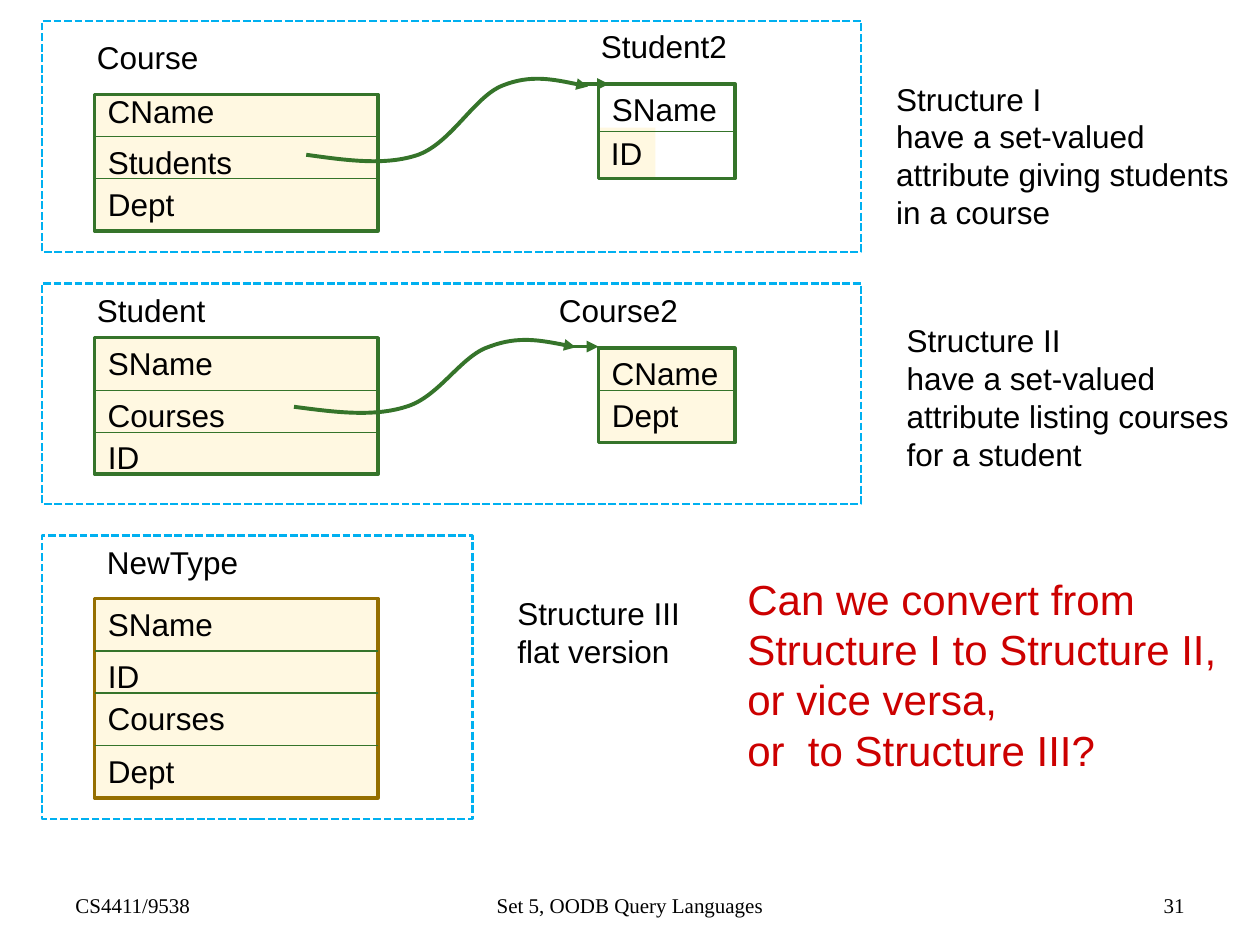
from dataclasses import dataclass

from lxml.etree import SubElement
from pptx import Presentation
from pptx.dml.color import RGBColor
from pptx.enum.dml import MSO_LINE
from pptx.enum.shapes import MSO_CONNECTOR as CONNECTOR, MSO_SHAPE as SHAPE
from pptx.enum.text import MSO_ANCHOR as ANCHOR, MSO_AUTO_SIZE as AUTO_SIZE, PP_ALIGN as ALIGN
from pptx.oxml.ns import qn
from pptx.util import Pt


@dataclass(frozen=True)
class Theme:
    black: str = "000000"
    green: str = "35742A"
    gold: str = "956F00"
    cream: str = "FFF8E1"
    blue: str = "00B0F0"
    red: str = "CC0000"
    font: str = "Arial"
    footer_font: str = "Times New Roman"
    body: int = 18
    question: int = 24
    footer: int = 12
    line_height: float = 21.6


THEME = Theme()
FIELD_WIDTHS = {"CName": 77, "SName": 76, "Students": 87, "Courses": 83, "Dept": 54, "ID": 32.5}


def add_text(slide, text, left, top, width, height=None, *, size=THEME.body, font=THEME.font,
             color=THEME.black, align=ALIGN.LEFT, anchor=ANCHOR.TOP, wrap=False, grow=True, fill=None):
    lines = text.split("\n")
    height = height or 7.2 + THEME.line_height * len(lines)
    box = slide.shapes.add_textbox(Pt(left), Pt(top), Pt(width), Pt(height))
    if fill:
        box.fill.solid()
        box.fill.fore_color.rgb = RGBColor.from_string(fill)
    frame = box.text_frame
    frame.word_wrap = wrap
    frame.auto_size = AUTO_SIZE.SHAPE_TO_FIT_TEXT if grow else AUTO_SIZE.NONE
    frame.vertical_anchor = anchor
    for index, line in enumerate(lines):
        paragraph = frame.paragraphs[0] if index == 0 else frame.add_paragraph()
        paragraph.alignment = align
        run = paragraph.add_run()
        run.text = line
        run.font.size = Pt(size)
        run.font.name = font
        run.font.color.rgb = RGBColor.from_string(color)


def set_line(shape, color, width):
    shape.line.color.rgb = RGBColor.from_string(color)
    shape.line.width = Pt(width)


def add_arrowhead(shape):
    SubElement(shape.line._get_or_add_ln(), qn("a:tailEnd"), type="triangle")


def add_box(slide, left, top, width, height, color, line_width, fill=None, dash=None):
    shape = slide.shapes.add_shape(SHAPE.RECTANGLE, Pt(left), Pt(top), Pt(width), Pt(height))
    shape.shadow.inherit = False
    if fill:
        shape.fill.solid()
        shape.fill.fore_color.rgb = RGBColor.from_string(fill)
    else:
        shape.fill.background()
    set_line(shape, color, line_width)
    if dash:
        shape.line.dash_style = dash
    return shape


def add_line(slide, x1, x2, y, width):
    line = slide.shapes.add_connector(CONNECTOR.STRAIGHT, Pt(x1), Pt(y), Pt(x2), Pt(y))
    set_line(line, THEME.green, width)
    SubElement(line._element.spPr, qn("a:effectLst"))
    return line


def add_record(slide, left, top, width, height, fields, dividers, color=THEME.green, fill=THEME.cream):
    """A box of fields, each given with its text top, split by divider lines."""
    box = add_box(slide, left, top, width, height, color, 2, fill)
    for name, text_top in fields:
        add_text(slide, name, left + 0.5, text_top, FIELD_WIDTHS[name])
    for y in dividers:
        line = add_line(slide, left, left + width, y, 0.75)
        if y == top + height / 2:
            line.begin_connect(box, 1)
            line.end_connect(box, 3)


def add_curve(slide, start, controls):
    """An arrow of cubic segments, three control points to each."""
    builder = slide.shapes.build_freeform(Pt(start[0]), Pt(start[1]))
    builder.add_line_segments([(Pt(x), Pt(y)) for x, y in controls], close=False)
    curve = builder.convert_to_shape()
    curve.shadow.inherit = False
    curve.fill.background()
    set_line(curve, THEME.green, 2.25)
    add_arrowhead(curve)
    # Turn each run of three straight steps into one cubic segment
    outline = next(curve._element.iter(qn("a:path")))
    steps = outline.findall(qn("a:lnTo"))
    for index in range(0, len(steps), 3):
        cubic = SubElement(outline, qn("a:cubicBezTo"))
        for step in steps[index:index + 3]:
            cubic.append(step[0])
            outline.remove(step)


def add_reference(slide, start, controls, tip_left, tip_y):
    add_curve(slide, start, controls)
    add_arrowhead(add_line(slide, tip_left, tip_left + 18, tip_y, 2.25))


def main():
    presentation = Presentation()
    presentation.slide_width, presentation.slide_height = Pt(720), Pt(540)
    slide = presentation.slides.add_slide(presentation.slide_layouts[6])

    # Footer
    for text, left, width, align in (
        ("CS4411/9538", 36, 168, ALIGN.LEFT),
        ("Set 5, OODB Query Languages", 246, 228, ALIGN.CENTER),
        ("31", 516, 168, ALIGN.RIGHT),
    ):
        add_text(slide, text, left, 492, width, 36, size=THEME.footer, font=THEME.footer_font,
                 align=align, anchor=ANCHOR.BOTTOM, wrap=True, grow=False)

    # Records on the left
    add_record(slide, 54, 54, 162, 78, [("CName", 49), ("Students", 78), ("Dept", 102)], [78, 102])
    add_record(slide, 54, 193, 162, 78, [("SName", 193), ("Courses", 223), ("ID", 247)], [223, 247])
    add_record(slide, 54, 342, 162, 114,
               [("SName", 342), ("ID", 372), ("Courses", 396), ("Dept", 426)],
               [372, 396, 426], color=THEME.gold)

    # Records that the set-valued fields point to
    add_text(slide, "ID", 342, 73, FIELD_WIDTHS["ID"], fill=THEME.cream)
    add_record(slide, 342, 48, 78, 54, [("SName", 48)], [75], fill=None)
    add_record(slide, 342, 199, 78, 54, [("CName", 199), ("Dept", 223)], [223])

    # Record names
    for name, left, top, width in (
        ("Course", 48.3, 18, 75), ("Course2", 312.3, 163, 85), ("Student", 48.3, 163, 79),
        ("Student2", 336.3, 12, 89), ("NewType", 54, 307, 93),
    ):
        add_text(slide, name, left, top, width)

    # References between records
    add_reference(slide, (175, 88.5),
                  [(197, 91.5), (220, 95), (239, 88.5), (258, 81.5), (271, 55.5),
                   (287, 49), (303, 42.5), (320, 46), (336, 49.5)], 330, 48)
    add_reference(slide, (168, 232.5),
                  [(191, 235.5), (213, 238.5), (232, 232.5), (251, 227), (263.5, 203),
                   (280, 198), (296, 192), (312.5, 195), (329, 198.5)], 324, 198)

    # Dashed frames around the structures
    for top, width, height in ((12, 468, 132), (162, 468, 126), (306, 246, 162)):
        add_box(slide, 24, top, width, height, THEME.blue, 1.5, dash=MSO_LINE.SQUARE_DOT)

    # Explanations and the question
    add_text(slide, "Structure I\nhave a set-valued\nattribute giving students\nin a course",
             505, 42, 207)
    add_text(slide, "Structure II\nhave a set-valued\nattribute listing courses\nfor a student",
             511, 180, 201)
    add_text(slide, "Structure III\nflat version", 288.5, 336, 110)
    add_text(slide,
             "Can we convert from Structure I to Structure II, or vice versa,\nor  to Structure III?",
             420, 324, 288, 122.5, size=THEME.question, color=THEME.red, wrap=True)

    presentation.save("out.pptx")


if __name__ == "__main__":
    main()
